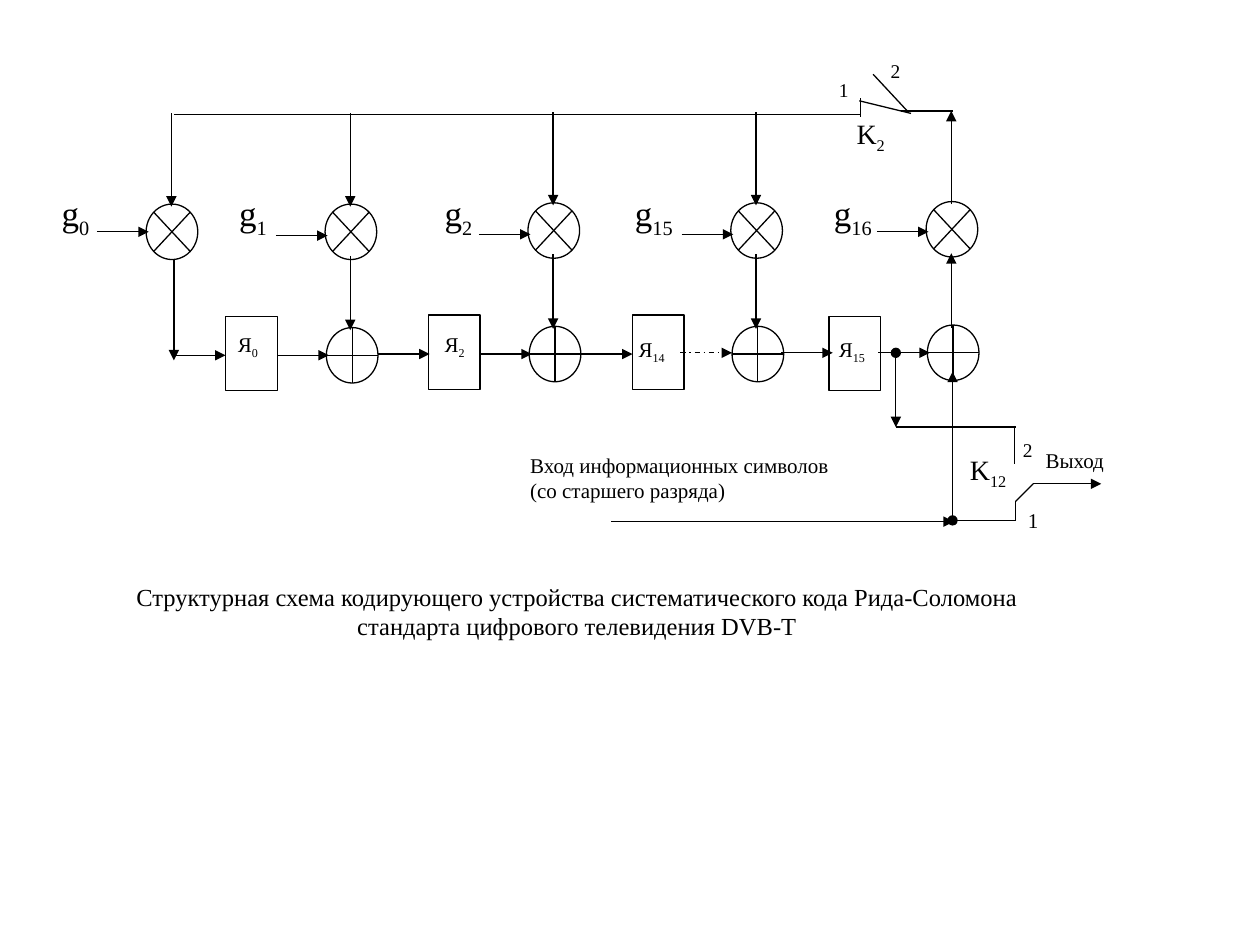
"""Block diagram of a systematic Reed-Solomon encoder for DVB-T."""
from lxml import etree
from pptx import Presentation
from pptx.dml.color import RGBColor
from pptx.enum import dml, shapes, text
from pptx.oxml.ns import qn
from pptx.util import Inches, Pt

INK = {"line": "000000", "fill": "FFFFFF"}
FONT = "Times New Roman"
SIZE = 0.41, 0.44
BOX = 0.41, 0.59
STEP = 0.41

# g index, label left, label width, multiplier left and top, input level
TAPS = [
    ("0", 0.39, 0.54, 1.16, 1.62, 1.84),
    ("1", 1.8, 0.54, 2.58, 1.62, 1.87),
    ("2", 3.43, 0.54, 4.19, 1.61, 1.86),
    ("15", 4.94, 0.68, 5.8, 1.61, 1.86),
    ("16", 6.52, 0.69, 7.35, 1.6, 1.84),
]
# cell index, box left and top, label left, top and width
CELLS = [
    ("0", 1.79, 2.51, 1.79, 2.58, 0.41),
    ("2", 3.4, 2.5, 3.43, 2.58, 0.41),
    ("14", 5.02, 2.5, 4.97, 2.62, 0.54),
    ("15", 6.58, 2.51, 6.56, 2.62, 0.54),
]
LINKS = [(1.38, 2.82), (2.2, 2.82), (3, 2.81), (3.81, 2.81),
         (4.61, 2.81), (6.2, 2.8), (6.97, 2.8)]
WIRES = [
    (1.38, 0.91, 6.83, 0.91), (7.15, 0.88, 7.56, 0.88),
    (6.83, 0.78, 6.83, 0.93), (6.82, 0.8, 7.23, 0.9),
    (6.93, 0.59, 7.2, 0.88), (7.53, 4.13, 8.06, 4.13),
    (8.06, 3.98, 8.06, 4.13), (8.2, 3.84, 8.06, 3.98),
    (8.05, 3.38, 8.05, 3.68), (7.11, 3.39, 8.06, 3.39),
]
ARROWS = [(1.38, 2.06, 1.38, 2.86), (4.85, 4.14, 7.57, 4.14),
          (8.2, 3.84, 8.74, 3.84)]
NODES = [(7.56, 4.13, 7.56, 2.95), (7.11, 2.8, 7.11, 3.39)]
# left, top, width, height, size, text, subscript
MARKS = [
    (6.97, 0.44, 0.27, 0.29, 11.1, "2", ""),
    (6.56, 0.59, 0.27, 0.29, 11.1, "1", ""),
    (8.02, 3.45, 0.27, 0.29, 11.1, "2", ""),
    (8.06, 3.98, 0.27, 0.38, 12, "1", ""),
    (6.7, 0.88, 0.54, 0.43, 16, "K", "2"),
    (7.6, 3.54, 0.54, 0.43, 16, "K", "12"),
    (8.2, 3.5, 0.82, 0.44, 12, "Выход", ""),
    (4.11, 3.54, 3, 0.59, 12,
     "Вход информационных символов\n(со старшего разряда)", ""),
]
TITLE = (0.56, 4.57, 8.04, 0.59, 14,
         "Структурная схема кодирующего устройства систематического кода "
         "Рида-Соломона\nстандарта цифрового телевидения DVB-T", "")

deck = Presentation()
deck.slide_width, deck.slide_height = Inches(10), Inches(7.5)
slide = deck.slides.add_slide(deck.slide_layouts[6])


def tint(name):
    return RGBColor.from_string(INK[name])


def block(kind, x, y, size):
    part = slide.shapes.add_shape(kind, *map(Inches, (x, y, *size)))
    part.shadow.inherit = False
    part.fill.solid()
    part.fill.fore_color.rgb = tint("fill")
    part.line.color.rgb = tint("line")
    part.line.width = Pt(0.75)


def wire(ends, head=None, tail=None, dash=None):
    part = slide.shapes.add_connector(
        shapes.MSO_CONNECTOR.STRAIGHT, *map(Inches, ends))
    part.line.color.rgb = tint("line")
    part.line.width = Pt(0.75)
    if dash:
        part.line.dash_style = dash
    pen = part.line._get_or_add_ln()
    for tag, kind in (("a:headEnd", head), ("a:tailEnd", tail)):
        if kind:
            etree.SubElement(pen, qn(tag), type=kind)
    etree.SubElement(part._element.spPr, qn("a:effectLst"))


def arrow(*ends, **opts):
    wire(ends, tail="triangle", **opts)


def label(x, y, w, h, size, words, sub, align=text.PP_ALIGN.LEFT):
    frame = slide.shapes.add_textbox(*map(Inches, (x, y, w, h))).text_frame
    frame.word_wrap = True
    frame.text = words
    for para in frame.paragraphs:
        para.alignment = align
        para.font.size, para.font.name = Pt(size), FONT
        para.font.color.rgb = tint("line")
        if size < 12:
            para.line_spacing = 0.9
    if sub:
        run = frame.paragraphs[0].add_run()
        run.text = sub
        run.font._element.set("baseline", "-25000")


kinds = shapes.MSO_SHAPE
for name, x, y, *_ in CELLS:
    block(kinds.RECTANGLE, x, y, BOX)
for i, (name, left, wide, x, y, level) in enumerate(TAPS):
    block(kinds.FLOWCHART_SUMMING_JUNCTION, x, y, SIZE)
    if i:
        block(kinds.FLOWCHART_OR, x + 0.01, y + 0.98, SIZE)
    mid = x + 0.2
    spans = [(y - 0.72, y + 0.02), (y + 0.41, y + 1)][:2 if i else 1]
    for top, end in spans:
        if i == len(TAPS) - 1:
            top, end = end, top
        arrow(mid, top, mid, end)
    arrow(x - 0.39, level, x - 0.39 + STEP, level)
    label(left, 1.47, wide, 0.59, 20, "g", name)

for x, y in LINKS:
    arrow(x, y, x + STEP, y)
arrow(5.4, 2.8, 5.4 + STEP, 2.8, dash=dml.MSO_LINE.DASH_DOT)
for ends in WIRES:
    wire(ends)
for ends in ARROWS:
    arrow(*ends)
for ends in NODES:
    arrow(*ends, head="oval")
for name, _, _, x, y, w in CELLS:
    label(x, y, w, 0.44, 12, "Я", name)
for mark in MARKS:
    label(*mark)
label(*TITLE, align=text.PP_ALIGN.CENTER)

deck.save("out.pptx")
